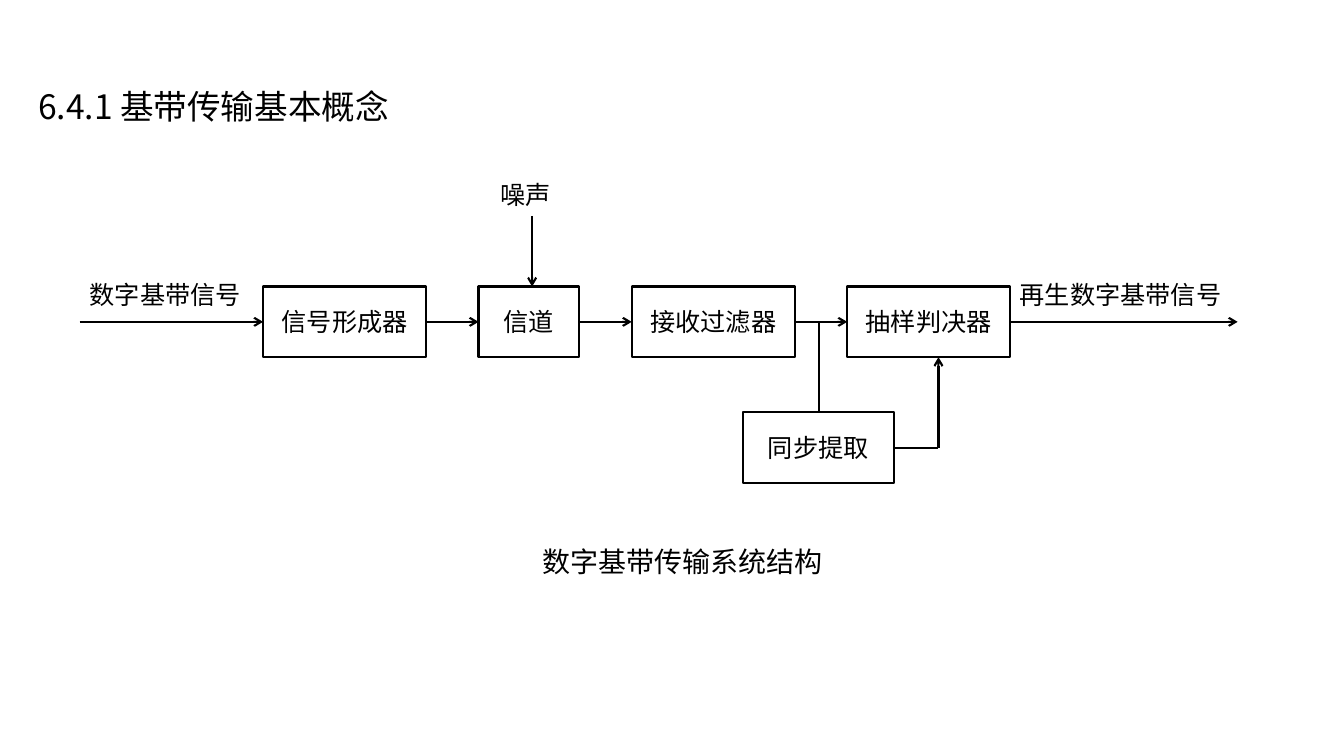
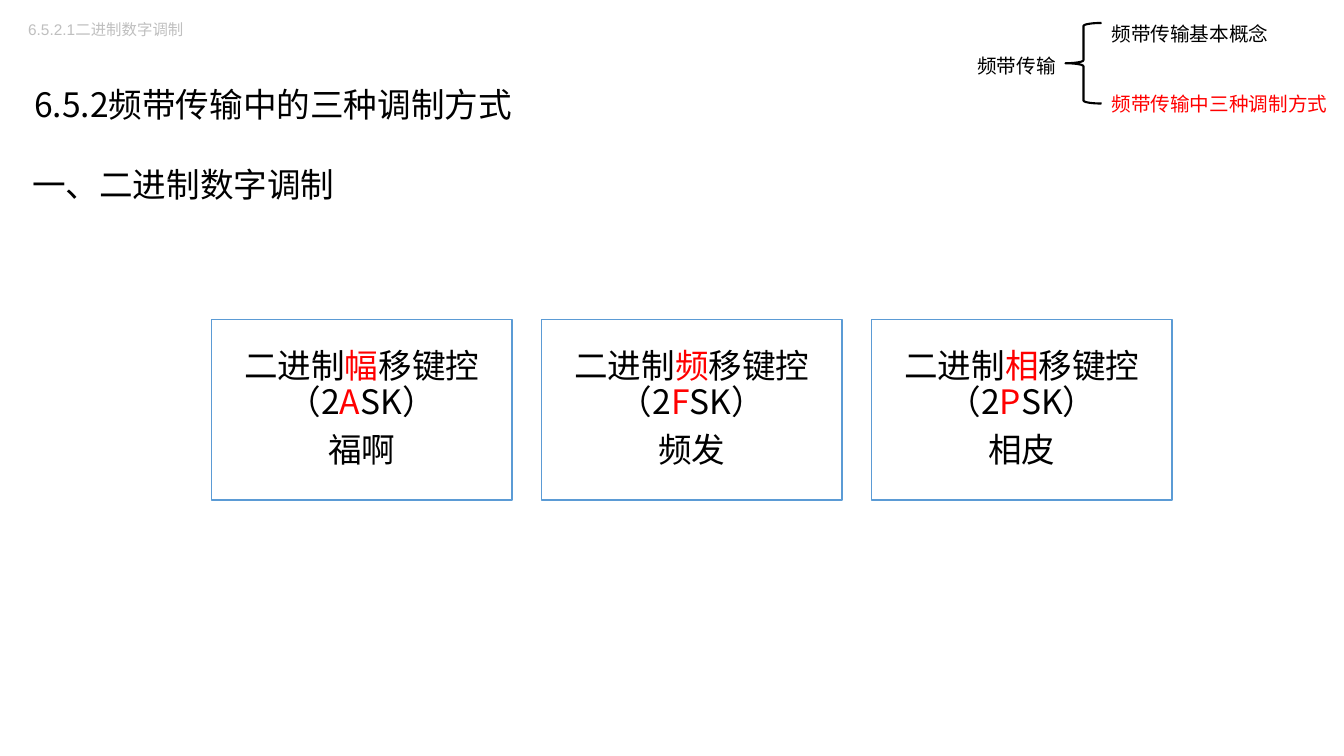
from lxml import etree
from pptx import Presentation
from pptx.dml.color import RGBColor
from pptx.enum.shapes import MSO_CONNECTOR, MSO_SHAPE
from pptx.enum.text import MSO_ANCHOR, PP_ALIGN
from pptx.oxml.ns import qn
from pptx.util import Cm, Pt

RECT = MSO_SHAPE.RECTANGLE
BRACE = MSO_SHAPE.LEFT_BRACE
STRAIGHT = MSO_CONNECTOR.STRAIGHT
MIDDLE = MSO_ANCHOR.MIDDLE
TOP = MSO_ANCHOR.TOP
CENTER = PP_ALIGN.CENTER
LEFT = PP_ALIGN.LEFT

FONT = "Noto Sans CJK SC"
BLACK, RED, WHITE = "000000", "FF0000", "FFFFFF"
GREY, BLUE = "BFBFBF", "5B9BD5"


def rgb(color):
    return RGBColor.from_string(color)


def format_run(r, size, color, font=FONT):
    r.font.size = Pt(size)
    r.font.name = font
    r.font.color.rgb = rgb(color)
    ea = etree.SubElement(r._r.get_or_add_rPr(), qn("a:ea"))
    ea.set("typeface", font)


def add_runs(p, parts, size):
    for text, color in parts:
        r = p.add_run()
        r.text = text
        format_run(r, size, color)


def set_frame(tf, anchor, side=0.25, edge=0.13):
    tf.word_wrap = True
    tf.vertical_anchor = anchor
    tf.margin_left = tf.margin_right = Cm(side)
    tf.margin_top = tf.margin_bottom = Cm(edge)


def set_text(tf, text, size, color=BLACK, font=FONT, align=LEFT, spacing=None):
    tf.text = text
    p = tf.paragraphs[0]
    p.alignment = align
    p.line_spacing = spacing
    format_run(p.runs[0], size, color, font)


def add_label(s, text, x, y, w, h, size, **style):
    tf = s.shapes.add_textbox(Cm(x), Cm(y), Cm(w), Cm(h)).text_frame
    set_frame(tf, TOP)
    set_text(tf, text, size, **style)
    return tf


def add_title(s, text, x, y, w):
    tf = add_label(s, text, x, y, w, 2.64, 24, spacing=1.5)
    set_frame(tf, MIDDLE, 0.3, 0.15)


def add_outline(s, preset, x, y, w, h, color=BLACK, width=1.5, fill=None):
    sp = s.shapes.add_shape(preset, Cm(x), Cm(y), Cm(w), Cm(h))
    sp.shadow.inherit = False
    if fill:
        sp.fill.solid()
        sp.fill.fore_color.rgb = rgb(fill)
    else:
        sp.fill.background()
    sp.line.color.rgb = rgb(color)
    sp.line.width = Pt(width)
    return sp


def add_block(s, text, x, y, w, h):
    tf = add_outline(s, RECT, x, y, w, h).text_frame
    set_frame(tf, MIDDLE)
    set_text(tf, text, 18, align=CENTER)


def add_line(s, x1, y1, x2, y2, arrow=True):
    cn = s.shapes.add_connector(STRAIGHT, Cm(x1), Cm(y1), Cm(x2), Cm(y2))
    cn.line.color.rgb = rgb(BLACK)
    cn.line.width = Pt(1.5)
    if arrow:
        etree.SubElement(cn.line._get_or_add_ln(), qn("a:tailEnd")).set("type", "arrow")
    etree.SubElement(cn._element.spPr, qn("a:effectLst"))


def add_card(s, x, kind, letter, hint):
    sp = add_outline(s, RECT, x, 8.05, 7.57, 4.55, BLUE, 1, WHITE)
    tf = sp.text_frame
    set_frame(tf, MIDDLE, 0.25, 0.25)
    name = [("二进制", BLACK), (kind, RED), ("移键控（2", BLACK),
            (letter, RED), ("SK）", BLACK)]
    for p, parts in ((tf.paragraphs[0], name), (tf.add_paragraph(), [(hint, BLACK)])):
        p.alignment = CENTER
        p.line_spacing = 0.9
        p.space_after = Pt(8.4)
        add_runs(p, parts, 24)


def add_outline_map(s):
    add_label(s, "频带传输", 24.38, 1.22, 4.01, 0.86, 14)
    add_outline(s, BRACE, 26.85, 0.58, 0.91, 2.03)
    tf = add_label(s, "频带传输基本概念", 27.76, 0.13, 6.1, 2.95, 14, spacing=1.5)
    p = tf.add_paragraph()
    p.line_spacing = 1.5
    p.space_before = Pt(25)
    add_runs(p, [("频带传输中三种调制方式", RED)], 14)


def build_baseband(s):
    add_title(s, "6.4.1 基带传输基本概念", 0.66, 1.09, 10.08)
    top, height, gap = 7.22, 1.78, 1.32
    axis = top + height / 2
    blocks = [("信号形成器", 4.11), ("信道", 2.54),
              ("接收过滤器", 4.11), ("抽样判决器", 4.11)]
    x, start = 6.63, 2.01
    for text, w in blocks:
        add_block(s, text, x, top, w, height)
        add_line(s, start, axis, x, axis)
        start = x + w
        x = start + gap
    add_line(s, start, axis, 31.19, axis)

    sync_x, sync_y, sync_w = 18.72, 10.39, 3.81
    sync_axis, return_x, tap_x = sync_y + height / 2, 23.65, 20.63
    add_block(s, "同步提取", sync_x, sync_y, sync_w, height)
    add_line(s, tap_x, axis, tap_x, sync_y, arrow=False)
    add_line(s, sync_x + sync_w, sync_axis, return_x, sync_axis, arrow=False)
    add_line(s, return_x, sync_axis, return_x, top + height)
    add_line(s, 13.41, 5.44, 13.41, top)

    add_label(s, "数字基带信号", 2.01, 6.91, 5.18, 1.02, 18)
    add_label(s, "噪声", 12.37, 4.39, 5.18, 1.02, 18)
    add_label(s, "再生数字基带信号", 25.45, 6.91, 6.45, 1.02, 18)
    add_label(s, "数字基带传输系统结构", 13.41, 13.59, 9.22, 1.12, 20)


def build_modulation(s):
    add_label(s, "6.5.2.1二进制数字调制", 0.46, 0.38, 4.45, 0.74, 11,
              color=GREY, font="Arial")
    add_title(s, "6.5.2频带传输中的三种调制方式", 0.56, 1.04, 14.68)
    add_label(s, "一、二进制数字调制", 0.56, 3.71, 27.79, 1.45, 24, spacing=Pt(37))
    cards = [("幅", "A", "福啊"), ("频", "F", "频发"), ("相", "P", "相皮")]
    for i, card in enumerate(cards):
        add_card(s, 5.33 + i * 8.32, *card)
    add_outline_map(s)


def main():
    prs = Presentation()
    prs.slide_width, prs.slide_height = Cm(33.87), Cm(19.05)
    for build in (build_baseband, build_modulation):
        build(prs.slides.add_slide(prs.slide_layouts[6]))
    prs.save("out.pptx")


if __name__ == "__main__":
    main()
